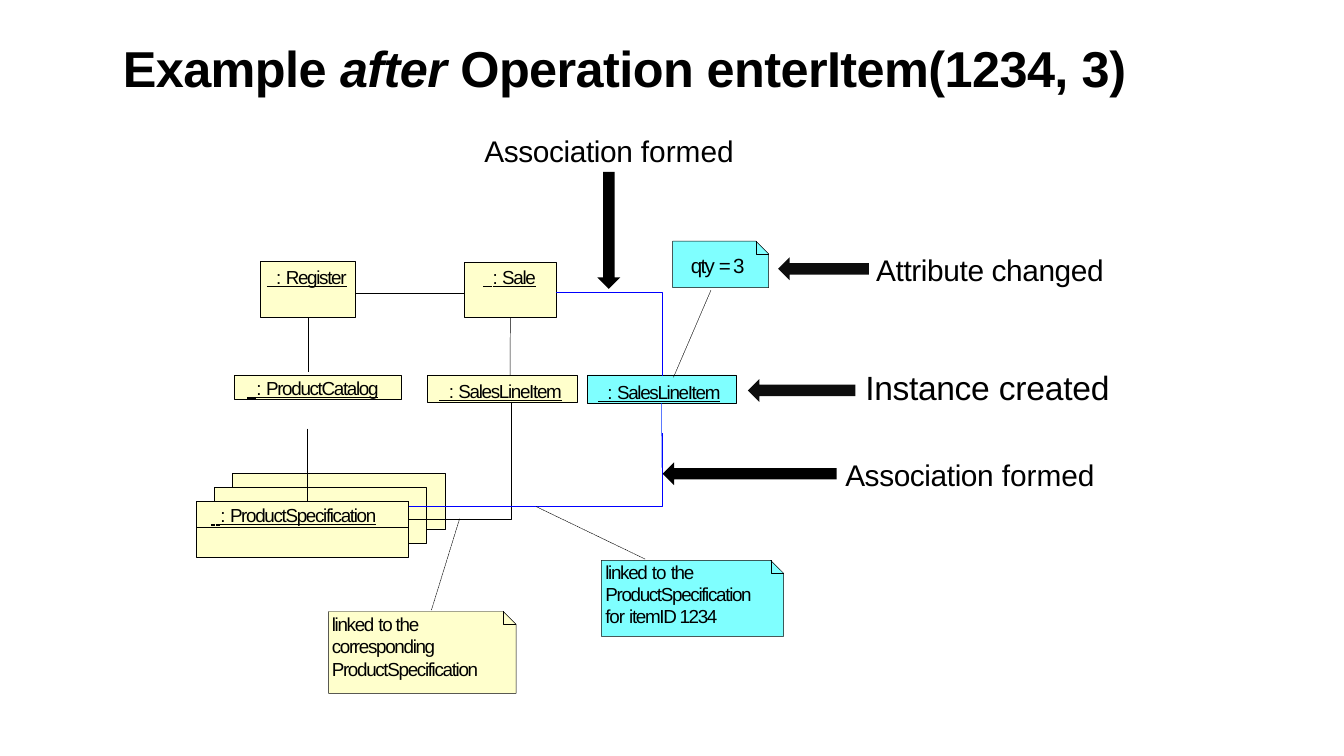
import pptx
import pptx.dml.color
import pptx.enum.dml
import pptx.enum.shapes
import pptx.enum.text
import pptx.oxml
import pptx.oxml.ns
import pptx.util

RGBColor = pptx.dml.color.RGBColor
BLACK = RGBColor(0x00, 0x00, 0x00)
NEAR_BLACK = RGBColor(0x0D, 0x0D, 0x0D)
CREAM = RGBColor(0xFF, 0xFF, 0xCC)
CYAN = RGBColor(0x7F, 0xFF, 0xFF)
BLUE = RGBColor(0x00, 0x00, 0xFF)
BRIGHT_BLUE = RGBColor(0x04, 0x32, 0xFF)

SHAPE = pptx.enum.shapes.MSO_SHAPE
ALIGN = pptx.enum.text.PP_ALIGN
Pt = pptx.util.Pt


class Diagram:
    cell = pptx.util.Inches(0.1)
    line_width = Pt(0.25)
    small = 10.1
    fold = 0.95

    def __init__(self, presentation):
        self.slide = presentation.slides.add_slide(presentation.slide_layouts[6])
        self.shapes = self.slide.shapes

    def grid(self, *lengths):
        return [round(length * self.cell) for length in lengths]

    def paint(self, shape, fill, line):
        shape.shadow.inherit = False
        if fill is None:
            shape.fill.background()
        else:
            shape.fill.solid()
            shape.fill.fore_color.rgb = fill
        if line is None:
            shape.line.fill.background()
        else:
            shape.line.color.rgb = line
            shape.line.width = self.line_width
        return shape

    def box(self, left, top, width, height, fill=None):
        shape = self.shapes.add_shape(SHAPE.RECTANGLE, *self.grid(left, top, width, height))
        return self.paint(shape, fill, BLACK)

    def arrow(self, left, top, width, rotation=180, fill=BLACK):
        shape = self.shapes.add_shape(SHAPE.RIGHT_ARROW, *self.grid(left, top, width, 1.7))
        shape.rotation = rotation
        return self.paint(shape, fill, None)

    def outline(self, points, fill=None, line=BLACK, close=False):
        corners = [tuple(self.grid(*point)) for point in points]
        builder = self.shapes.build_freeform(*corners[0])
        builder.add_line_segments(corners[1:], close=close)
        return self.paint(builder.convert_to_shape(), fill, line)

    def note(self, left, top, width, height, fill):
        right, bottom = left + width, top + height
        crease, fold_bottom = right - self.fold, top + self.fold
        self.outline([(left, top), (crease, top), (right, fold_bottom),
                      (right, bottom), (left, bottom)], fill, close=True)
        self.outline([(crease, top), (crease, fold_bottom), (right, fold_bottom)])

    def connect(self, start, end, color=BLACK, dashed=False, source=None):
        connector = self.shapes.add_connector(
            pptx.enum.shapes.MSO_CONNECTOR.STRAIGHT, *self.grid(*start, *end))
        connector.line.color.rgb = color
        connector.line.width = self.line_width
        if dashed:
            connector.line.dash_style = pptx.enum.dml.MSO_LINE.SQUARE_DOT
        if source is not None:
            connector.begin_connect(source, 2)
        properties = connector._element.spPr
        properties.append(pptx.oxml.parse_xml(
            "<a:effectLst %s/>" % pptx.oxml.ns.nsdecls("a")))

    def frame(self, shape, inset_left, inset_top, align=ALIGN.LEFT, spacing=None):
        frame = shape.text_frame
        frame.word_wrap = True
        frame.vertical_anchor = pptx.enum.text.MSO_ANCHOR.TOP
        frame.margin_left, frame.margin_top = self.grid(inset_left, inset_top)
        frame.margin_right = frame.margin_bottom = 0
        paragraph = frame.paragraphs[0]
        paragraph.alignment = align
        paragraph.line_spacing = spacing
        return paragraph

    def run(self, paragraph, text, tracking, size=small, font="Arial", **style):
        run = paragraph.add_run()
        run.text = text
        run.font.size = Pt(size)
        run.font.name = font
        run.font.color.rgb = BLACK
        for name, value in style.items():
            setattr(run.font, name, value)
        run._r.get_or_add_rPr().set("spc", str(round(tracking * 100)))

    def instance(self, shape, name, indent, inset_top):
        paragraph = self.frame(shape, indent, inset_top)
        for text, gap, font in ((" ", -0.3, "Times New Roman"),
                                (" ", -1.5, "Times New Roman"),
                                (": ", -0.45, "Arial"), (name, -0.7, "Arial")):
            self.run(paragraph, text, gap, font=font, underline=True)

    def text(self, left, top, width, height, runs, size=small, inset_top=0.2,
             align=ALIGN.LEFT, spacing=None):
        shape = self.shapes.add_textbox(*self.grid(left, top, width, height))
        paragraph = self.frame(shape, 0.1, inset_top, align, spacing)
        for text, tracking, *style in runs:
            self.run(paragraph, text, tracking, size, **(style[0] if style else {}))


def main():
    presentation = pptx.Presentation()
    presentation.slide_width = Pt(720)
    presentation.slide_height = Pt(405)
    diagram = Diagram(presentation)

    bold = {"bold": True}
    diagram.text(5.5, 2.6, 78.3, 4.7, [
        ("Example ", -0.3, bold), ("after", -0.3, {"bold": True, "italic": True}),
        (" Operation enterItem(1234, ", -0.3, bold), ("3)", -0.1, bold)],
        size=27, inset_top=0.5, align=ALIGN.RIGHT, spacing=Pt(30.2))

    register = diagram.box(19.35, 19.45, 7.1, 4.15, CREAM)
    diagram.instance(register, "Register", 0.5, 0.3)
    sale = diagram.box(34.55, 19.5, 6.85, 4.1, CREAM)
    diagram.instance(sale, "Sale", 1.4, 0.25)
    catalog = diagram.box(17.4, 27.9, 12.45, 1.8, CREAM)
    diagram.instance(catalog, "ProductCatalog", 1, 0.15)
    line_item = diagram.box(31.8, 27.9, 11.15, 2.05, CREAM)
    diagram.instance(line_item, "SalesLineItem", 0.9, 0.35)
    new_line_item = diagram.box(43.7, 27.9, 11.05, 2.1, CYAN)
    diagram.instance(new_line_item, "SalesLineItem", 0.8, 0.4)

    for depth in (2, 1, 0):
        diagram.box(14.6 + 1.35 * depth, 37.3 - 1.05 * depth, 15.8, 4.15, CREAM)
    specification = diagram.box(14.6, 37.3, 15.8, 1.9)
    diagram.instance(specification, "ProductSpecification", 1.1, 0.2)

    diagram.connect((26.5, 21.8), (34.6, 21.8))
    diagram.connect((22.9, 23.6), (22.9, 27.7), source=register)
    diagram.connect((22.85, 31.9), (22.85, 37.3))
    diagram.connect((37.95, 23.6), (37.95, 27.9), source=sale)
    diagram.outline([(38.05, 29.9), (38.05, 38.6), (30.4, 38.6)])
    diagram.outline([(41.4, 21.75), (49.3, 21.75), (49.3, 28)], line=BLUE)
    diagram.outline([(49.3, 32.2), (49.3, 37.7), (30.4, 37.7)], line=BLUE)
    diagram.connect((49.25, 30), (49.25, 34.8), BRIGHT_BLUE, source=new_line_item)

    for start, end in (((32.1, 45.4), (34.2, 38.6)), ((52.9, 21.6), (50.1, 28.1)),
                       ((48, 41.6), (39.9, 37.7))):
        diagram.connect(start, end, dashed=True)

    diagram.note(24.45, 45.5, 13.95, 6.1, CREAM)
    diagram.text(24.6, 45.35, 12, 5.2, [
        ("linked ", -0.7), ("to the ", -0.65), ("corresponding ProductSpecification", -0.7)],
        spacing=Pt(12.1))
    diagram.note(44.75, 41.7, 13.55, 5.65, CYAN)
    diagram.text(44.95, 41.6, 12, 5.1, [
        ("linked ", -0.7), ("to ", -0.5), ("the ProductSpecification ", -0.7),
        ("for ", -0.6), ("itemID 1234", -0.7)], spacing=0.97)
    diagram.note(50.05, 17.95, 7.15, 3.45, CYAN)
    diagram.text(50.7, 18.7, 5.3, 2, [("qty ", -0.9), ("= ", -1), ("3", -1)],
                 size=11, inset_top=0.1, align=ALIGN.CENTER)

    diagram.arrow(55.65, 28.2, 8, fill=NEAR_BLACK)
    diagram.text(64.3, 27.3, 20, 3.1, [("Instance ", -0.2), ("created", -0.1)],
                 size=18, inset_top=0.1, spacing=Pt(20.9))
    diagram.arrow(57.9, 19.15, 6.75, fill=NEAR_BLACK)
    diagram.text(65.1, 18, 20, 3.7, [("Attribute changed", -0.2)],
                 size=16, inset_top=0.5, spacing=Pt(20.8))
    diagram.arrow(49.3, 34.4, 12.95)
    diagram.arrow(40.95, 16.3, 8.7, rotation=90)
    for left, top in ((62.8, 33.4), (35.95, 9.25)):
        diagram.text(left, top, 20, 3.6, [("Association ", -0.2), ("formed", 0)],
                     size=16, inset_top=0.5, spacing=Pt(20.1))

    presentation.save("out.pptx")


if __name__ == "__main__":
    main()
